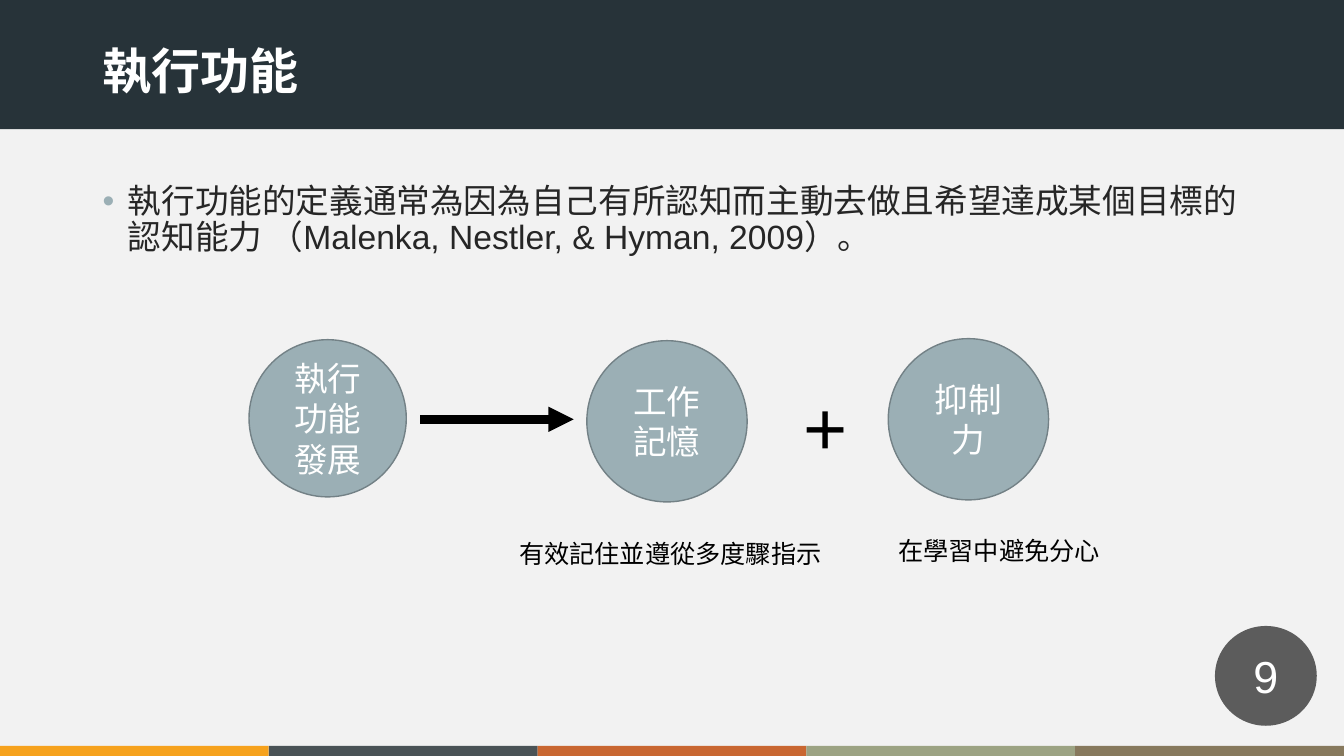
from lxml.etree import SubElement
from pptx import Presentation
from pptx.dml.color import RGBColor
from pptx.enum.shapes import MSO_CONNECTOR, MSO_SHAPE
from pptx.enum.text import MSO_ANCHOR, MSO_AUTO_SIZE, PP_ALIGN
from pptx.oxml.ns import qn
from pptx.util import Inches, Pt

HUE = dict(back="F2F2F2", band="273339", disc="9BAFB5", rim="738186",
           badge="1D1D1D", white="FFFFFF", body="262626", black="000000")
STRIPE = ["F6A21D", "4A5356", "C96731", "9CA383", "87795D"]
WIDE, HIGH = 13.33, 7.5
TITLE = "執行功能"
BODY = ("執行功能的定義通常為因為自己有所認知而主動去做且希望達成某個目標的"
        "認知能力 （Malenka, Nestler, & Hyman, 2009）。")
DISCS = [("執行功能發展", 2.47, 3.37, 1.56, 1.56),
         ("工作記憶", 5.82, 3.38, 1.59, 1.6),
         ("抑制力", 8.81, 3.36, 1.59, 1.6)]
NOTES = [("有效記住並遵從多度驟指示", 5.05, 5.29, 3.23, 0.4, 18),
         ("在學習中避免分心", 8.81, 5.26, 2.22, 0.4, 18),
         ("+", 7.87, 3.72, 0.64, 1.01, 54)]


def tint(name):
    return RGBColor.from_string(HUE.get(name, name))


def assign(item, **form):
    for key, value in form.items():
        setattr(item, key, value)


def write(shape, text, size, hue, align=PP_ALIGN.LEFT, bold=False, **form):
    frame = shape.text_frame
    assign(frame, **{"word_wrap": True, "auto_size": MSO_AUTO_SIZE.NONE, **form})
    para = frame.paragraphs[0]
    para.alignment = align
    run = para.add_run()
    run.text = text
    assign(run.font, name="Arial", size=Pt(size), bold=bold)
    run.font.color.rgb = tint(hue)
    return para


def draw(kind, box, fill, rim=None):
    shape = slide.shapes.add_shape(kind, *map(Inches, box))
    shape.shadow.inherit = False
    shape.fill.solid()
    shape.fill.fore_color.rgb = tint(fill)
    if rim:
        shape.line.color.rgb = tint(rim)
        shape.line.width = Pt(1)
    else:
        shape.line.fill.background()
    return shape


deck = Presentation()
assign(deck, slide_width=Inches(WIDE), slide_height=Inches(HIGH))
slide = deck.slides.add_slide(deck.slide_layouts[5])
slide.background.fill.solid()
slide.background.fill.fore_color.rgb = tint("back")

step = WIDE / len(STRIPE)
for i, hue in enumerate(STRIPE):
    draw(MSO_SHAPE.RECTANGLE, (i * step, 7.4, step, 0.1), hue)
draw(MSO_SHAPE.RECTANGLE, (0, -0.01, WIDE, 1.29), "band")

badge = draw(MSO_SHAPE.OVAL, (12.05, 6.21, 1.01, 0.99), "badge")
color = badge.fill._xPr.find(qn("a:solidFill"))[0]
SubElement(color, qn("a:alpha"), val="70000")
write(badge, "9", 32, "white", PP_ALIGN.CENTER, vertical_anchor=MSO_ANCHOR.MIDDLE,
      margin_left=Inches(0.02), margin_right=Inches(0.02))

title = slide.shapes.title
assign(title, left=Inches(0.92), top=Inches(0.33), width=Inches(11.5), height=Inches(0.73))
write(title, TITLE, 35, "white", bold=True, vertical_anchor=MSO_ANCHOR.MIDDLE)
slide.shapes.element.append(title.element)

body = slide.shapes.add_textbox(*map(Inches, (0.92, 1.78, 11.5, 4.76)))
para = write(body, BODY, 24, "body")
assign(para, line_spacing=0.9, space_before=Pt(10))
props = para._p.get_or_add_pPr()
props.set("marL", str(Inches(0.25)))
props.set("indent", str(-Inches(0.25)))
SubElement(SubElement(props, qn("a:buClr")), qn("a:srgbClr"), val=HUE["disc"])
SubElement(props, qn("a:buFont"), typeface="Arial")
SubElement(props, qn("a:buChar"), char="•")

for text, *box in DISCS:
    disc = draw(MSO_SHAPE.OVAL, box, "disc", "rim")
    write(disc, text, 24, "white", PP_ALIGN.CENTER, vertical_anchor=MSO_ANCHOR.MIDDLE)

for text, *box, size in NOTES:
    note = slide.shapes.add_textbox(*map(Inches, box))
    write(note, text, size, "black", word_wrap=False, auto_size=MSO_AUTO_SIZE.SHAPE_TO_FIT_TEXT)

arrow = slide.shapes.add_connector(
    MSO_CONNECTOR.STRAIGHT, *map(Inches, (4.17, 4.16, 5.69, 4.16)))
arrow.line.color.rgb = tint("black")
arrow.line.width = Pt(6)
SubElement(arrow.line._get_or_add_ln(), qn("a:tailEnd"), type="triangle")
SubElement(arrow.element.spPr, qn("a:effectLst"))

deck.save("out.pptx")
